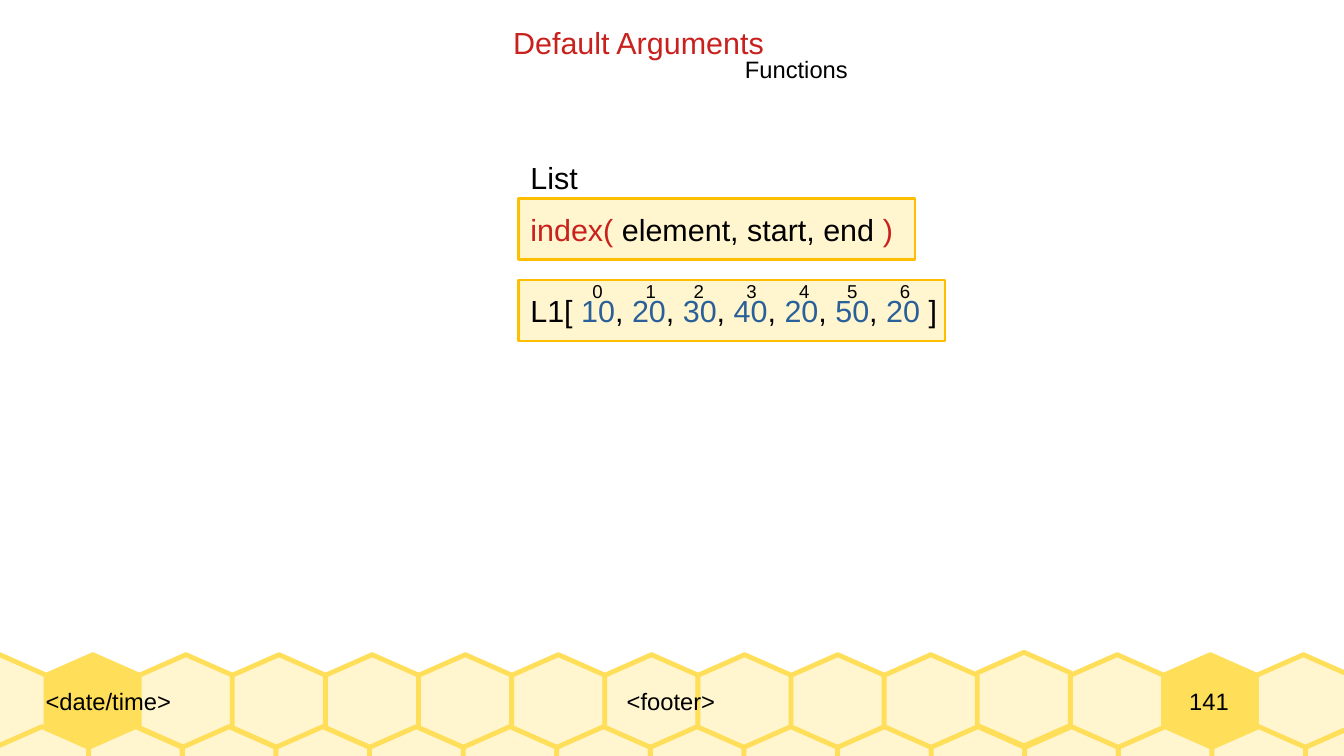
import pptx
import pptx.dml.color
import pptx.enum.shapes
import pptx.enum.text
import pptx.util

Cm = pptx.util.Cm
Pt = pptx.util.Pt
ALIGN = pptx.enum.text.PP_ALIGN
ANCHOR = pptx.enum.text.MSO_ANCHOR

COLORS = {
    "text": "000000",
    "accent": "C9211E",
    "value": "2A6099",
    "cream": "FFF5CE",
    "honey": "FFDE59",
    "border": "FFBF00",
}
PADDED = {"margin_left": Cm(0.25), "margin_right": Cm(0.25),
          "margin_top": Cm(0.13), "margin_bottom": Cm(0.13)}
LABEL = {**PADDED, "word_wrap": False, "vertical_anchor": ANCHOR.TOP}
BOXED = {**PADDED, "word_wrap": False, "vertical_anchor": ANCHOR.MIDDLE}
FOOTER = {**dict.fromkeys(PADDED, 0), "word_wrap": True,
          "vertical_anchor": ANCHOR.MIDDLE}


def rgb(name):
    return pptx.dml.color.RGBColor.from_string(COLORS[name])


def apply(target, values):
    for name, value in values.items():
        setattr(target, name, value)


class SlideBuilder:
    def __init__(self, slide, font="Arial"):
        self.slide = slide
        self.font = font

    def set_text(self, shape, runs, size, frame_format, align=ALIGN.LEFT):
        """Fill a shape with one paragraph of (text, colour name) runs."""
        frame = shape.text_frame
        apply(frame, {"auto_size": pptx.enum.text.MSO_AUTO_SIZE.NONE, **frame_format})
        paragraph = frame.paragraphs[0]
        paragraph.alignment = align
        for text, color in runs:
            run = paragraph.add_run()
            run.text = text
            apply(run.font, {"name": self.font, "size": Pt(size)})
            run.font.color.rgb = rgb(color)

    def paint(self, shape, fill, line, width):
        shape.shadow.inherit = False
        shape.fill.solid()
        shape.fill.fore_color.rgb = rgb(fill)
        shape.line.color.rgb = rgb(line)
        shape.line.width = Pt(width)

    def title(self, text, left, top, width, height):
        heading = self.slide.shapes.title
        apply(heading, {"left": Cm(left), "top": Cm(top),
                        "width": Cm(width), "height": Cm(height)})
        self.set_text(heading, [(text, "accent")], 18, LABEL)

    def label(self, text, box, size, frame_format=LABEL, align=ALIGN.LEFT):
        caption = self.slide.shapes.add_textbox(*map(Cm, box))
        self.set_text(caption, [(text, "text")], size, frame_format, align)

    def code_box(self, runs, box):
        panel = self.slide.shapes.add_shape(
            pptx.enum.shapes.MSO_SHAPE.RECTANGLE, *map(Cm, box))
        self.paint(panel, "cream", "border", 1.42)
        self.set_text(panel, runs, 18, BOXED, ALIGN.JUSTIFY)

    def hexagon(self, left, top, fill="cream"):
        size, shoulder = 1.95, 0.43
        middle, right = left + size / 2, left + size
        upper, lower = top + shoulder, top + size - shoulder
        corners = [(left, upper), (left, lower), (middle, top + size),
                   (right, lower), (right, upper)]
        outline = self.slide.shapes.build_freeform(Cm(middle), Cm(top))
        outline.add_line_segments([(Cm(x), Cm(y)) for x, y in corners], close=True)
        self.paint(outline.convert_to_shape(), fill, "honey", 2.83)


def main():
    deck = pptx.Presentation()
    deck.slide_width, deck.slide_height = Cm(28), Cm(15.75)
    builder = SlideBuilder(deck.slides.add_slide(deck.slide_layouts[5]))

    solid_cells, raised_cell = (1, 13), 11
    for cell in range(15):
        builder.hexagon(-0.98 + 1.94 * cell,
                        13.59 if cell == raised_cell else 13.64,
                        "honey" if cell in solid_cells else "cream")
    for cell in range(15):
        builder.hexagon(-0.1 + 1.95 * cell, 15.14)

    for text, left, width, align in [("<date/time>", 0.95, 6.68, ALIGN.LEFT),
                                     ("<footer>", 7.62, 12.72, ALIGN.CENTER),
                                     ("141", 23.6, 3.18, ALIGN.CENTER)]:
        builder.label(text, (left, 13.64, width, 1.95), 14, FOOTER, align)

    builder.title("Default Arguments", 10.44, 0.36, 6.7, 0.97)
    builder.label("Functions", (15.27, 1.02, 2.9, 0.81), 14)
    builder.label("List", (10.8, 3.18, 1.5, 0.97), 18)

    builder.code_box([("index(", "accent"), (" element, start, end", "text"),
                      (" )", "accent")], (10.8, 4.14, 8.26, 1.27))

    *leading, last = ["10", "20", "30", "40", "20", "50", "20"]
    list_runs = [("L1[ ", "text")]
    for value in leading:
        list_runs += [(value, "value"), (", ", "text")]
    list_runs += [(f"{last} ", "value"), ("]", "text")]
    builder.code_box(list_runs, (10.8, 5.84, 8.89, 1.27))

    index_lefts = [12.09, 13.2, 14.2, 15.3, 16.4, 17.4, 18.5]
    for index, left in enumerate(index_lefts):
        builder.label(str(index), (left, 5.7, 0.72, 0.69), 11)

    deck.save("out.pptx")


if __name__ == "__main__":
    main()
